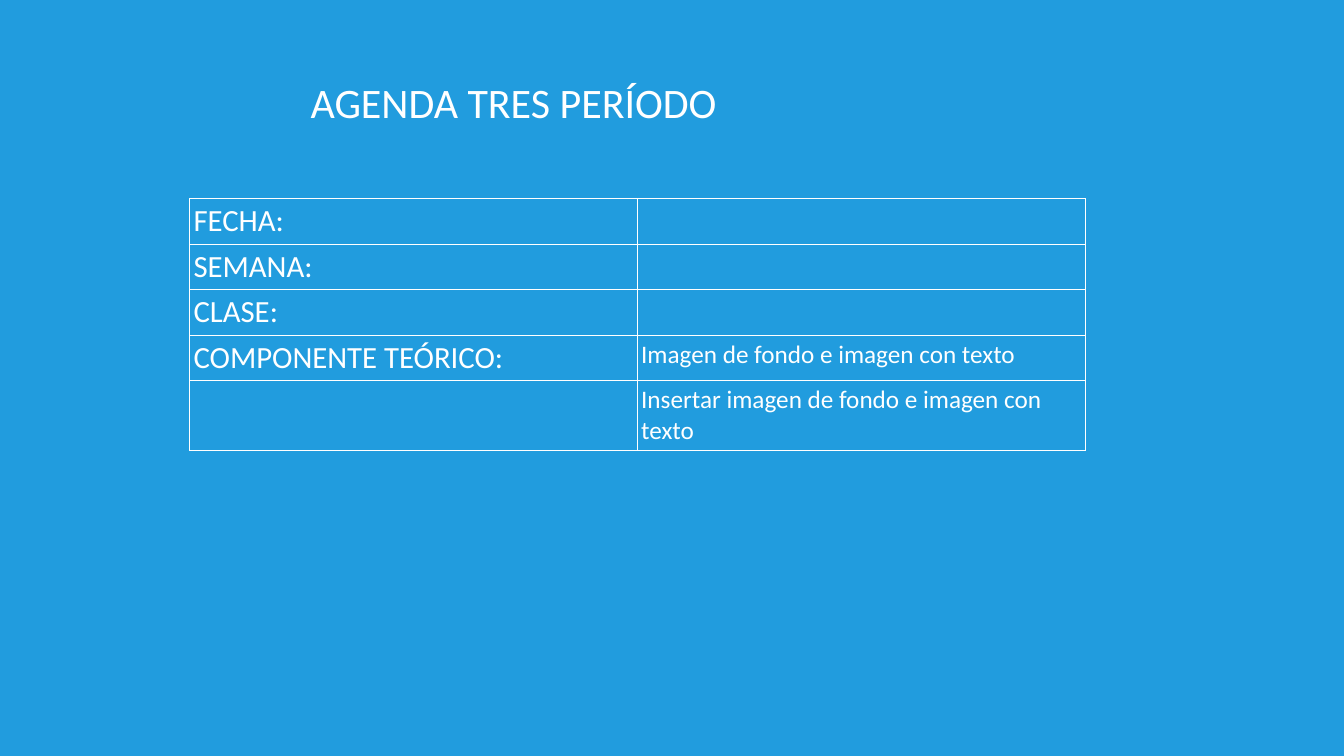
import pptx
import pptx.dml.color
import pptx.enum.text
import pptx.oxml
import pptx.oxml.ns
import pptx.util

Inches, Pt = pptx.util.Inches, pptx.util.Pt
COLORS = {"background": "219CDE", "text": "FFFFFF", "border": "FFFFFF"}
FONT = "Calibri"
LABEL_SIZE, VALUE_SIZE, TITLE_SIZE = 22, 18, 30
CELL_MARGIN = 0.04
BORDER_WIDTH = 0.5
AGENDA = [
    ("FECHA:", ""),
    ("SEMANA:", ""),
    ("CLASE:", ""),
    ("COMPONENTE TEÓRICO:", "Imagen de fondo e imagen con texto"),
    ("", "Insertar imagen de fondo e imagen con texto"),
]
ROW_HEIGHTS = [0.45] * 4 + [0.68]


def rgb(name):
    return pptx.dml.color.RGBColor.from_string(COLORS[name])


def write(tf, text, size):
    p = tf.paragraphs[0]
    p.alignment = pptx.enum.text.PP_ALIGN.LEFT
    r = p.add_run()
    r.text = text
    for name, value in {"name": FONT, "size": Pt(size), "bold": False}.items():
        setattr(r.font, name, value)
    r.font.color.rgb = rgb("text")


def add_borders(cell):
    tc_pr = cell._tc.get_or_add_tcPr()
    for i, side in enumerate(("lnL", "lnR", "lnT", "lnB")):
        tc_pr.insert(i, pptx.oxml.parse_xml(
            f'<a:{side} {pptx.oxml.ns.nsdecls("a")} w="{Pt(BORDER_WIDTH)}">'
            f'<a:solidFill><a:srgbClr val="{COLORS["border"]}"/></a:solidFill>'
            f'</a:{side}>'))


def add_title(slide, left, top, width, height):
    sp = slide.shapes.title
    box = {"left": left, "top": top, "width": width, "height": height}
    for name, value in box.items():
        setattr(sp, name, Inches(value))
    tf = sp.text_frame
    tf.word_wrap = True
    tf.auto_size = pptx.enum.text.MSO_AUTO_SIZE.NONE
    tf.vertical_anchor = pptx.enum.text.MSO_ANCHOR.TOP
    write(tf, "AGENDA TRES PERÍODO", TITLE_SIZE)


def add_agenda(slide, left, top, width):
    frame = slide.shapes.add_table(
        len(AGENDA), 2, Inches(left), Inches(top), Inches(width),
        Inches(sum(ROW_HEIGHTS)))
    table = frame.table
    table.first_row = table.horz_banding = False
    for row, height, texts in zip(table.rows, ROW_HEIGHTS, AGENDA):
        row.height = Inches(height)
        for cell, text, size in zip(row.cells, texts, (LABEL_SIZE, VALUE_SIZE)):
            for side in ("left", "right", "top", "bottom"):
                setattr(cell, f"margin_{side}", Inches(CELL_MARGIN))
            cell.fill.background()
            add_borders(cell)
            if text:
                write(cell.text_frame, text, size)


def main():
    prs = pptx.Presentation()
    prs.slide_width, prs.slide_height = Inches(13.33), Inches(7.5)
    slide = prs.slides.add_slide(prs.slide_layouts.get_by_name("Title Only"))
    slide.background.fill.solid()
    slide.background.fill.fore_color.rgb = rgb("background")
    add_agenda(slide, 1.88, 1.97, 8.88)
    add_title(slide, 2.98, 0.71, 6.83, 0.6)
    prs.save("out.pptx")


if __name__ == "__main__":
    main()
